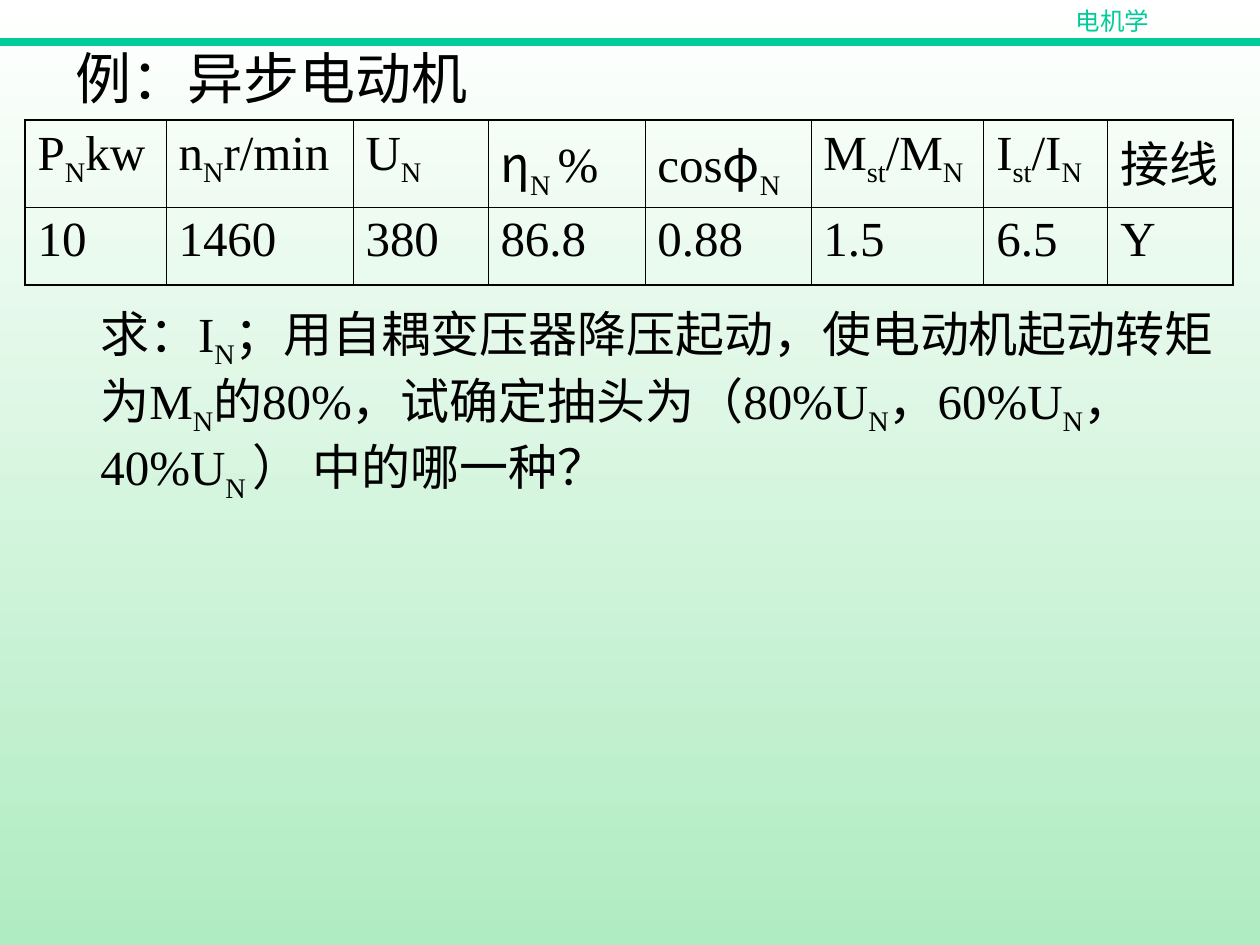
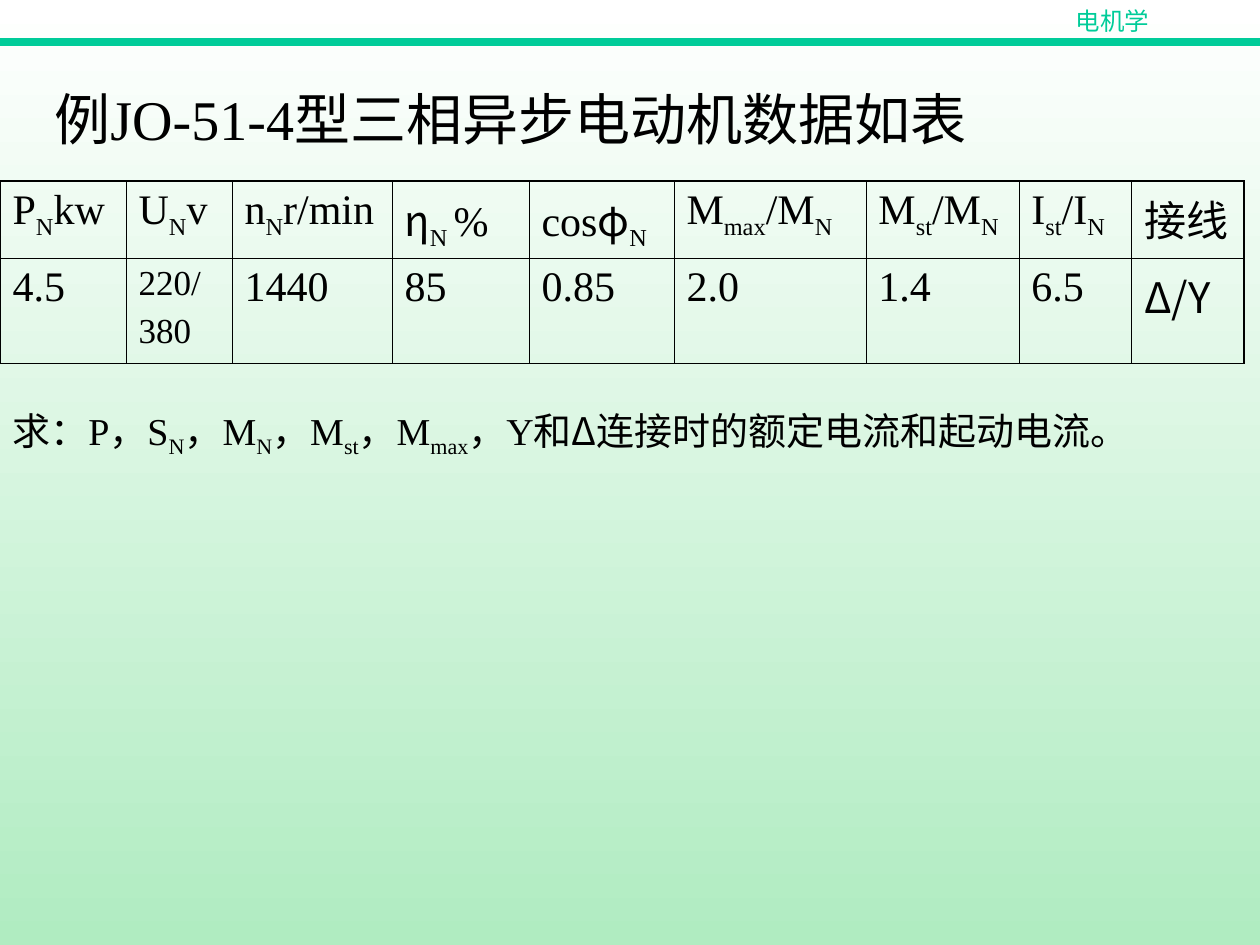
"""Build two slides of worked examples on asynchronous motors."""
from dataclasses import dataclass

import pptx
import pptx.dml.color
import pptx.enum.shapes
import pptx.enum.text
import pptx.oxml
import pptx.oxml.ns
import pptx.util

SCALE = 914400 / 126
LATIN_FONT = "Times New Roman"
CHINESE_FONT = "Noto Sans CJK SC"
GREEN = "00CC99"
BLACK = "000000"
BACKGROUND = ("FFFFFF", "B0ECC1")
SYMBOLS = "ηφΔ"
THIN, THICK = 0.45, 1.08


@dataclass
class Label:
    text: str
    left: int
    top: int
    width: int
    height: int
    size: float
    colour: str = BLACK
    indent: int = 0
    centred: bool = False
    middle: bool = False


@dataclass
class MotorTable:
    left: int
    top: int
    size: int
    columns: list[int]
    heights: list[int]
    rows: list[list[str]]
    bottom: float


@dataclass
class Example:
    title: Label
    data: MotorTable
    question: Label


HEADER = Label("电机学", 1018, 0, 189, 43, 14, GREEN, centred=True)

EXAMPLES = [
    Example(
        Label("例：异步电动机", 63, 36, 1134, 82, 32, middle=True),
        MotorTable(
            25, 120, 28, [141, 187, 135, 157, 166, 173, 124, 125], [87, 78],
            [["P[N]kw", "n[N]r/min", "U[N]", "η[N ]%", "cosφ[N]",
              "M[st]/M[N]", "I[st]/I[N]", "接线"],
             ["10", "1460", "380", "86.8", "0.88", "1.5", "6.5", "Y"]],
            THICK),
        Label("求：I[N]；用自耦变压器降压起动，使电动机起动转矩为M[N]的80%，"
              "试确定抽头为（80%U[N]，60%U[N]，40%U[N ]） 中的哪一种？",
              25, 297, 1207, 214, 28, indent=63),
    ),
    Example(
        Label("例JO-51-4型三相异步电动机数据如表", 42, 78, 1134, 81, 32, middle=True),
        MotorTable(
            0, 181, 24, [126, 106, 160, 137, 145, 192, 153, 113, 112], [77, 105],
            [["P[N]kw", "U[N]v", "n[N]r/min", "η[N ]%", "cosφ[N]",
              "M[max]/M[N]", "M[st]/M[N]", "I[st]/I[N]", "接线"],
             ["4.5", "220/\n380", "1440", "85", "0.85", "2.0", "1.4", "6.5", "Δ/Y"]],
            THIN),
        Label("求：P，S[N]，M[N]，M[st]，M[max]，Y和Δ连接时的额定电流和起动电流。",
              0, 401, 1222, 81, 21.7),
    ),
]


def px(length: int) -> pptx.util.Emu:
    """Turn pixels into EMU."""
    return pptx.util.Emu(round(length * SCALE))


def rgb(colour: str) -> pptx.dml.color.RGBColor:
    """Turn a hex string into a colour."""
    return pptx.dml.color.RGBColor.from_string(colour)


def add_span(para, text: str, size: float, colour: str, font: str, subscript: bool) -> None:
    """Add one formatted run to a paragraph."""
    if not text:
        return
    span = para.add_run()
    span.text = text
    span.font.size = pptx.util.Pt(size)
    span.font.name = font
    span.font.color.rgb = rgb(colour)
    properties = span.font._element
    chinese = pptx.oxml.parse_xml(
        f'<a:ea {pptx.oxml.ns.nsdecls("a")} typeface="{CHINESE_FONT}"/>')
    properties.find(pptx.oxml.ns.qn("a:latin")).addnext(chinese)
    if subscript:
        properties.set("baseline", "-25000")


def write_para(para, text: str, size: float, colour: str = BLACK) -> None:
    """Write text whose bracketed parts are subscripts; symbols start the Chinese font."""
    for index, piece in enumerate(text.replace("]", "[").split("[")):
        if index % 2:
            add_span(para, piece, size, colour, LATIN_FONT, True)
            continue
        start = min((piece.index(symbol) for symbol in SYMBOLS if symbol in piece),
                    default=len(piece))
        add_span(para, piece[:start], size, colour, LATIN_FONT, False)
        add_span(para, piece[start:], size, colour, CHINESE_FONT, False)


def add_label(page, label: Label) -> None:
    """Add a wrapped text box."""
    box = page.shapes.add_textbox(
        px(label.left), px(label.top), px(label.width), px(label.height))
    frame = box.text_frame
    frame.word_wrap = True
    if label.middle:
        frame.vertical_anchor = pptx.enum.text.MSO_ANCHOR.MIDDLE
    para = frame.paragraphs[0]
    if label.centred:
        para.alignment = pptx.enum.text.PP_ALIGN.CENTER
    if label.indent:
        properties = para._p.get_or_add_pPr()
        properties.set("marL", str(px(label.indent)))
        properties.set("indent", "0")
    write_para(para, label.text, label.size, label.colour)


def set_borders(cell, widths: dict[str, float]) -> None:
    """Draw the four borders of a cell, widths in points."""
    properties = cell._tc.get_or_add_tcPr()
    for side, width in widths.items():
        properties.append(pptx.oxml.parse_xml(
            f'<a:ln{side} {pptx.oxml.ns.nsdecls("a")} w="{pptx.util.Pt(width)}">'
            f'<a:solidFill><a:srgbClr val="{BLACK}"/></a:solidFill></a:ln{side}>'))


def write_cell(cell, text: str, size: int) -> None:
    """Fill a cell; text of several lines is set smaller."""
    lines = text.split("\n")
    if len(lines) > 1:
        size -= 4
    for index, line in enumerate(lines):
        para = cell.text_frame.add_paragraph() if index else cell.text_frame.paragraphs[0]
        if index:
            para.space_before = pptx.util.Pt(size / 4)
        write_para(para, line, size)


def add_motor_table(page, data: MotorTable) -> None:
    """Add the table of motor data with a thicker outline."""
    last_row, last_column = len(data.heights) - 1, len(data.columns) - 1
    table = page.shapes.add_table(
        last_row + 1, last_column + 1, px(data.left), px(data.top),
        px(sum(data.columns)), px(sum(data.heights))).table
    table.first_row = table.horz_banding = False
    for column, width in zip(table.columns, data.columns):
        column.width = px(width)
    for row, height in zip(table.rows, data.heights):
        row.height = px(height)
    for row_index, texts in enumerate(data.rows):
        for column_index, text in enumerate(texts):
            cell = table.cell(row_index, column_index)
            write_cell(cell, text, data.size)
            set_borders(cell, {
                "L": THIN if column_index else THICK,
                "R": THICK if column_index == last_column else THIN,
                "T": THIN if row_index else THICK,
                "B": data.bottom if row_index == last_row else THIN,
            })
            cell.fill.background()


def add_frame(page) -> None:
    """Add the shared background, band and course name."""
    fill = page.background.fill
    fill.gradient()
    fill.gradient_angle = 270
    for stop, position, colour in zip(fill.gradient_stops, (0, 1), BACKGROUND):
        stop.position = position
        stop.color.rgb = rgb(colour)
    band = page.shapes.add_connector(
        pptx.enum.shapes.MSO_CONNECTOR.STRAIGHT, px(0), px(42), px(1260), px(42))
    band.line.color.rgb = rgb(GREEN)
    band.line.width = pptx.util.Pt(4.5)
    band._element.spPr.append(
        pptx.oxml.parse_xml(f'<a:effectLst {pptx.oxml.ns.nsdecls("a")}/>'))
    add_label(page, HEADER)


def main() -> None:
    """Build and save the deck."""
    deck = pptx.Presentation()
    deck.slide_width, deck.slide_height = px(1260), px(945)
    for example in EXAMPLES:
        page = deck.slides.add_slide(deck.slide_layouts[6])
        add_frame(page)
        add_label(page, example.title)
        add_motor_table(page, example.data)
        add_label(page, example.question)
    deck.save("out.pptx")


if __name__ == "__main__":
    main()
